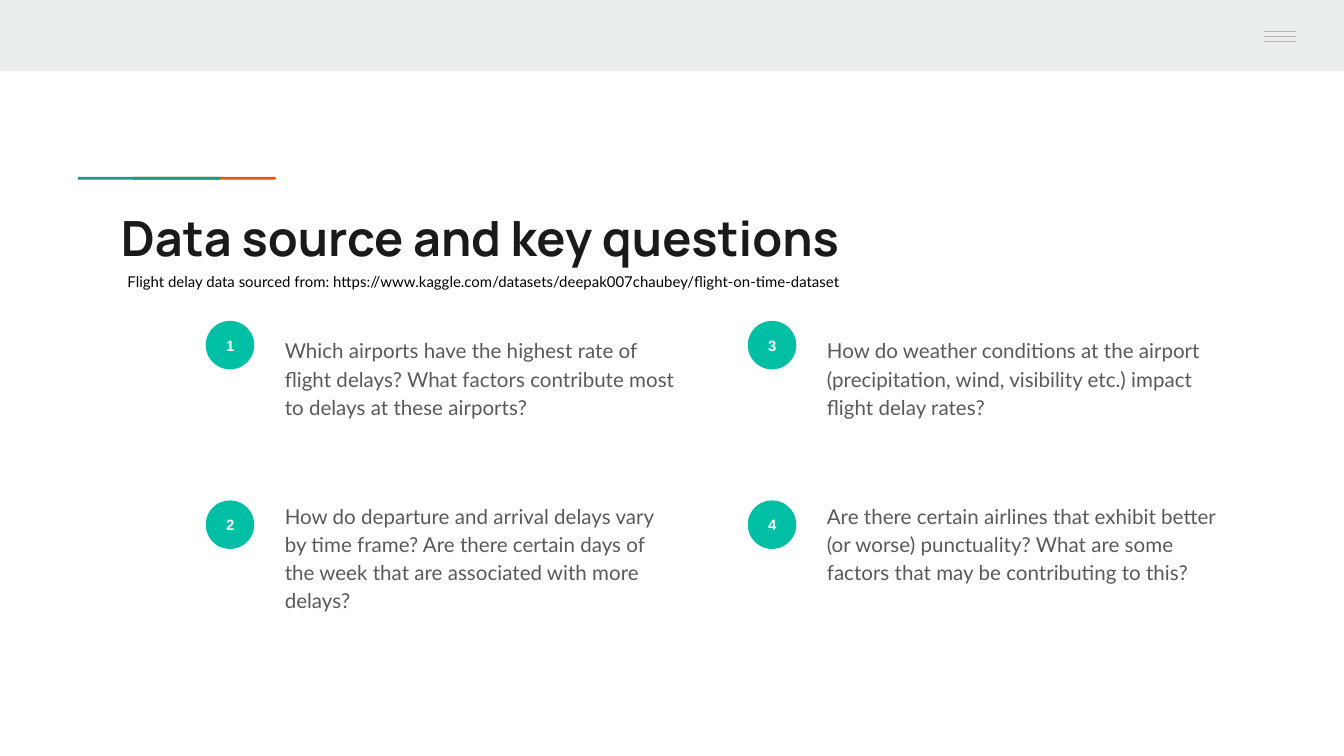
from pptx import Presentation
from pptx.dml.color import RGBColor
from pptx.enum.shapes import MSO_CONNECTOR, MSO_SHAPE
from pptx.enum.text import MSO_ANCHOR, MSO_AUTO_SIZE, PP_ALIGN
from pptx.oxml.ns import qn
from pptx.util import Pt

RECT, OVAL = MSO_SHAPE.RECTANGLE, MSO_SHAPE.OVAL
STRAIGHT = MSO_CONNECTOR.STRAIGHT
TOP, MIDDLE = MSO_ANCHOR.TOP, MSO_ANCHOR.MIDDLE
LEFT, CENTER = PP_ALIGN.LEFT, PP_ALIGN.CENTER

TITLE = "Data source and key questions"
SOURCE = ("Flight delay data sourced from: "
          "https://www.kaggle.com/datasets/deepak007chaubey/flight-on-time-dataset")
# One list per column, read downwards
QUESTIONS = [
    ["Which airports have the highest rate of flight delays? "
     "What factors contribute most to delays at these airports?",
     "How do departure and arrival delays vary by time frame? Are there certain "
     "days of the week that are associated with more delays?"],
    ["How do weather conditions at the airport (precipitation, wind, "
     "visibility etc.) impact flight delay rates?",
     "Are there certain airlines that exhibit better (or worse) punctuality? "
     "What are some factors that may be contributing to this?"],
]

BAND, MENU, TEAL, ORANGE, BADGE = "E9EDEE", "B7B7B7", "1A9988", "EB5600", "00BFA5"
TITLE_FONT = {"name": "Manrope", "size": Pt(26), "bold": True, "color": "1A1A1A"}
SOURCE_FONT = {"name": "Lato", "size": Pt(8), "color": "000000"}
BADGE_FONT = {"name": "Arial", "size": Pt(8), "bold": True, "color": "FFFFFF"}
QUESTION_FONT = {"name": "Lato", "size": Pt(11), "color": "595959"}

COLUMN_LEFT, COLUMN_STEP = 110.2, 290.4
BADGE_TOPS, QUESTION_TOPS = (171.9, 268.1), (172.1, 260.6)
BADGE_SIZE, QUESTION_OFFSET = 26, 35.3
MENU_LEFT, MENU_TOP, MENU_WIDTH, MENU_GAP = 677, 17, 17.3, 2.6


def rgb(color):
    return RGBColor.from_string(color)


def write(box, text, font, anchor=TOP, align=LEFT, spacing=1.0):
    frame = box.text_frame
    frame.word_wrap = True
    frame.auto_size = MSO_AUTO_SIZE.NONE
    frame.vertical_anchor = anchor
    for side in ("left", "top", "right", "bottom"):
        setattr(frame, f"margin_{side}", Pt(7.2))
    para = frame.paragraphs[0]
    para.alignment, para.line_spacing, para.space_before = align, spacing, Pt(0)
    span = para.add_run()
    span.text = text
    for name, value in font.items():
        if name == "color":
            span.font.color.rgb = rgb(value)
        else:
            setattr(span.font, name, value)


def add_filled(page, kind, left, top, width, height, color):
    shape = page.shapes.add_shape(kind, Pt(left), Pt(top), Pt(width), Pt(height))
    shape.shadow.inherit = False
    shape.fill.solid()
    shape.fill.fore_color.rgb = rgb(color)
    shape.line.fill.background()
    return shape


def add_text(page, left, top, width, height, text, font, **layout):
    box = page.shapes.add_textbox(Pt(left), Pt(top), Pt(width), Pt(height))
    write(box, text, font, **layout)


def add_menu_icon(page):
    for row in range(3):
        y = Pt(MENU_TOP + row * MENU_GAP)
        line = page.shapes.add_connector(
            STRAIGHT, Pt(MENU_LEFT), y, Pt(MENU_LEFT + MENU_WIDTH), y)
        line.line.color.rgb = rgb(MENU)
        line.line.width = Pt(0.75)
        properties = line._element.spPr
        properties.append(properties.makeelement(qn("a:effectLst"), {}))


def add_questions(page):
    number = 0
    for column, questions in enumerate(QUESTIONS):
        left = COLUMN_LEFT + column * COLUMN_STEP
        for question, badge_top, top in zip(questions, BADGE_TOPS, QUESTION_TOPS):
            number += 1
            badge = add_filled(page, OVAL, left, badge_top, BADGE_SIZE, BADGE_SIZE, BADGE)
            write(badge, str(number), BADGE_FONT, anchor=MIDDLE, align=CENTER)
            add_text(page, left + QUESTION_OFFSET, top, 223.2, 82.8,
                     question, QUESTION_FONT, spacing=1.15)


def main():
    deck = Presentation()
    deck.slide_width, deck.slide_height = Pt(720), Pt(405)
    page = deck.slides.add_slide(deck.slide_layouts[5])

    add_filled(page, RECT, 0, 0, 720, 38.2, BAND)
    add_menu_icon(page)
    # The teal bar overlaps the orange one and leaves its right end showing
    for left, color in ((71.3, ORANGE), (41.8, TEAL)):
        add_filled(page, RECT, left, 94.8, 76.4, 1.5, color)

    title = page.shapes.title
    title.left, title.top, title.width, title.height = map(Pt, (57.6, 104.4, 605.5, 42.5))
    write(title, TITLE, TITLE_FONT)
    add_questions(page)
    add_text(page, 61.2, 139, 409.7, 22.3, SOURCE, SOURCE_FONT)

    deck.save("out.pptx")


if __name__ == "__main__":
    main()
